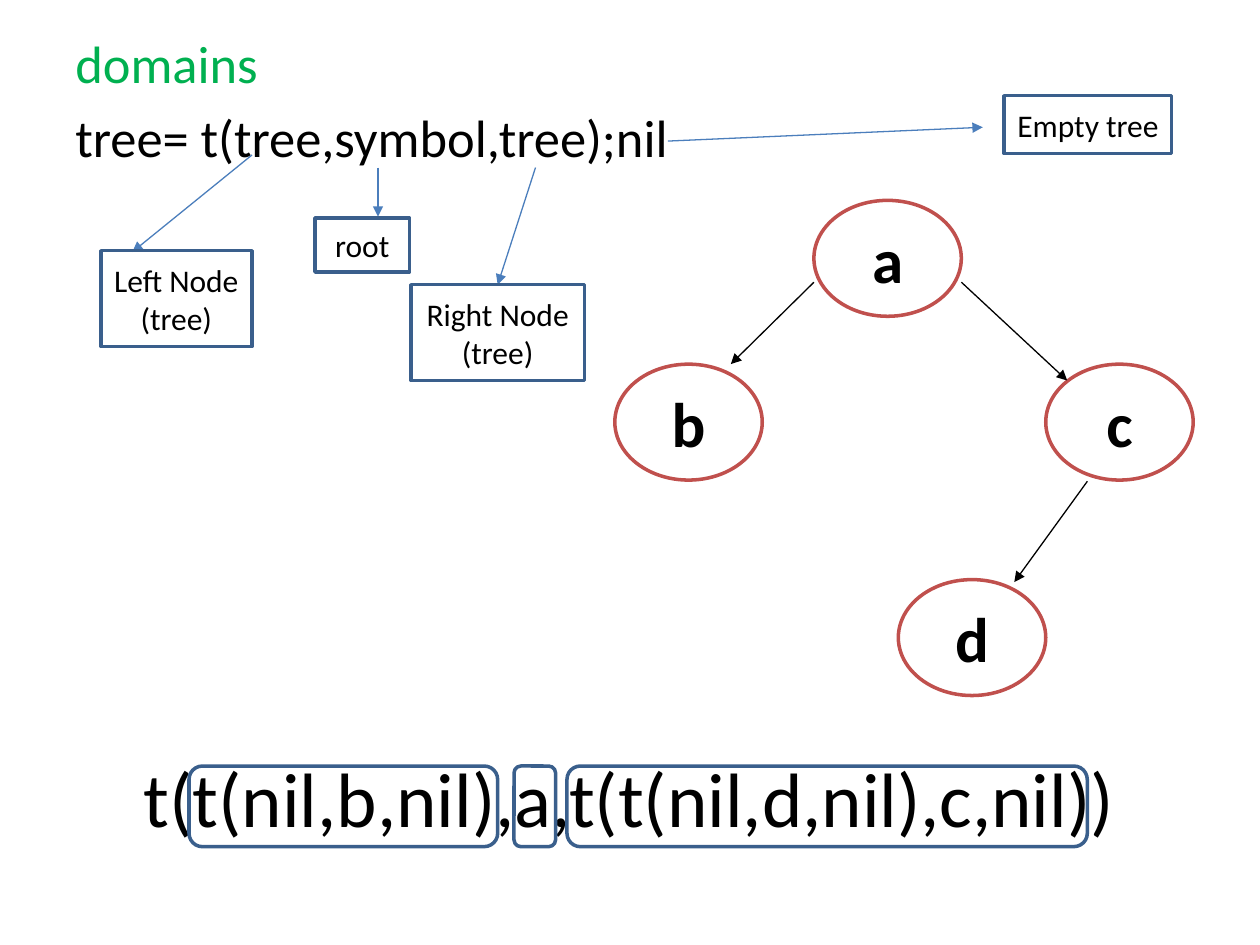
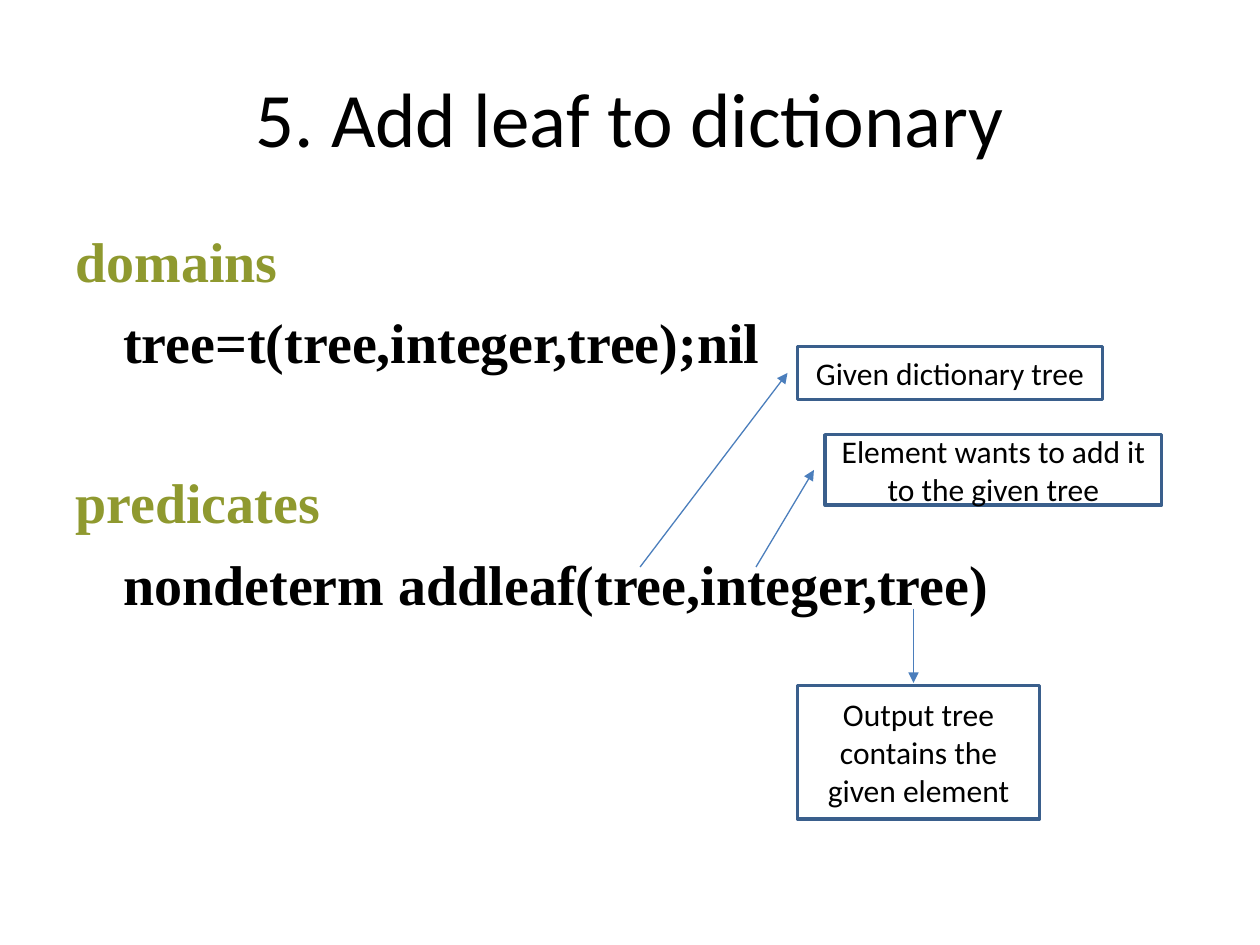
from pptx import Presentation
from pptx.util import Inches, Pt
from pptx.dml.color import RGBColor
from pptx.enum.shapes import MSO_SHAPE as SHAPE, MSO_CONNECTOR as CONNECTOR
from pptx.enum.text import PP_ALIGN as ALIGN, MSO_ANCHOR as ANCHOR
from pptx.oxml.ns import qn
from lxml import etree

COLORS = {"black": "000000", "white": "FFFFFF", "node": "C0504D", "frame": "3A5F8C",
          "pointer": "4B7EBC", "green": "00B050", "olive": "8F992F"}
TITLE_SIZE, LABEL_SIZE, NODE_SIZE = 44, 18, 36
NODE_W, NODE_H = 1.17, 0.92


def write(shape, lines, size=LABEL_SIZE, font="Calibri", bold=False, align=ALIGN.CENTER,
          anchor=ANCHOR.MIDDLE, side=0.05):
    """Each line is (text, colour, space before in points, left indent in inches)."""
    frame = shape.text_frame
    frame.word_wrap = True
    frame.vertical_anchor = anchor
    frame.margin_left = frame.margin_right = Inches(side)
    for i, (text, color, before, indent) in enumerate(lines):
        para = frame.paragraphs[0] if i == 0 else frame.add_paragraph()
        para.alignment = align
        para.space_before = Pt(before)
        if indent:
            para._p.get_or_add_pPr().set("marL", str(Inches(indent)))
        run = para.add_run()
        run.text = text
        run.font.name, run.font.size, run.font.bold = font, Pt(size), bold
        run.font.color.rgb = RGBColor.from_string(COLORS[color])


def outline(slide, kind, box, color, fill=None):
    shape = slide.shapes.add_shape(kind, *map(Inches, box))
    shape.shadow.inherit = False
    if fill:
        shape.fill.solid()
        shape.fill.fore_color.rgb = RGBColor.from_string(COLORS[fill])
    else:
        shape.fill.background()
    shape.line.color.rgb = RGBColor.from_string(COLORS[color])
    shape.line.width = Pt(2)
    return shape


prs = Presentation()
prs.slide_width, prs.slide_height = Inches(10), Inches(7.5)

# What differs between the slides: title, code, labels and arrows
slides = [
    {
        "title": ("t(t(nil,b,nil),a,t(t(nil,d,nil),c,nil))", 5.7),
        "code_box": (0.5, 0.2, 5.84, 1.21),
        "code": [("domains", "green", 0, 0),
                 ("tree= t(tree,symbol,tree);nil", "black", 6, 0)],
        "code_format": {"size": 30},
        "nodes": {"a": (6.46, 1.59), "b": (4.88, 2.89), "c": (8.3, 2.89), "d": (7.13, 4.6)},
        "labels": [("root", (2.5, 1.73, 0.75, 0.43)),
                   ("Left Node\n(tree)", (0.8, 1.99, 1.2, 0.76)),
                   ("Right Node\n(tree)", (3.26, 2.26, 1.38, 0.76)),
                   ("Empty tree", (7.97, 0.76, 1.33, 0.46))],
        "arrows": [("black", 6.46, 2.24, 5.8, 2.89), ("black", 7.63, 2.24, 8.47, 3.02),
                   ("black", 8.63, 3.82, 8.05, 4.62), ("pointer", 3, 1.33, 3, 1.72),
                   ("pointer", 2, 1.23, 1.05, 2), ("pointer", 4.25, 1.33, 3.95, 2.26),
                   ("pointer", 5.3, 1.12, 7.8, 1.01)],
        "term_frames": [(1.5, 2.45), (4.08, 0.33), (4.5, 4.13)],
    },
    {
        "title": ("5. Add leaf to dictionary", 0.3),
        "code_box": (0.5, 1.75, 9, 4.95),
        "code": [("domains", "olive", 8, 0),
                 ("tree=t(tree,integer,tree);nil", "black", 8, 0.38),
                 ("predicates", "olive", 53, 0),
                 ("nondeterm addleaf(tree,integer,tree)", "black", 8, 0.38)],
        "code_format": {"size": 32, "font": "Times New Roman", "bold": True},
        "nodes": {},
        "labels": [("Given dictionary tree", (6.33, 2.75, 2.42, 0.42)),
                   ("Element wants to add it to the given tree", (6.55, 3.45, 2.67, 0.56)),
                   ("Output tree contains the given element", (6.33, 5.44, 1.92, 1.06))],
        "arrows": [("pointer", 5.08, 4.5, 6.25, 2.96), ("pointer", 6, 4.5, 6.46, 3.73),
                   ("pointer", 7.25, 4.83, 7.25, 5.42)],
        "term_frames": [],
    },
]

for content in slides:
    slide = prs.slides.add_slide(prs.slide_layouts[6])

    # Title and code
    title, title_top = content["title"]
    title_box = slide.shapes.add_textbox(*map(Inches, (0.5, title_top, 9, 1.25)))
    write(title_box, [(title, "black", 0, 0)], size=TITLE_SIZE, side=0.1)
    code_box = slide.shapes.add_textbox(*map(Inches, content["code_box"]))
    write(code_box, content["code"], align=ALIGN.LEFT, anchor=ANCHOR.TOP, side=0.1,
          **content["code_format"])

    # Tree nodes
    for letter, (left, top) in content["nodes"].items():
        node = outline(slide, SHAPE.OVAL, (left, top, NODE_W, NODE_H), "node", fill="white")
        write(node, [(letter, "black", 0, 0)], size=NODE_SIZE, bold=True)

    # Tree edges and pointers to the labels
    for color, *ends in content["arrows"]:
        arrow = slide.shapes.add_connector(CONNECTOR.STRAIGHT, *map(Inches, ends))
        arrow.line.color.rgb = RGBColor.from_string(COLORS[color])
        arrow.line.width = Pt(0.75)
        etree.SubElement(arrow.line._get_or_add_ln(), qn("a:tailEnd"), type="triangle")
        etree.SubElement(arrow._element.spPr, qn("a:effectLst"))

    # Labels
    for text, box in content["labels"]:
        label = outline(slide, SHAPE.RECTANGLE, box, "frame")
        write(label, [(line, "black", 0, 0) for line in text.split("\n")])

    # Frames around the subtrees and root of the term
    for left, width in content["term_frames"]:
        outline(slide, SHAPE.ROUNDED_RECTANGLE, (left, 6.08, width, 0.64), "frame")

prs.save("out.pptx")
